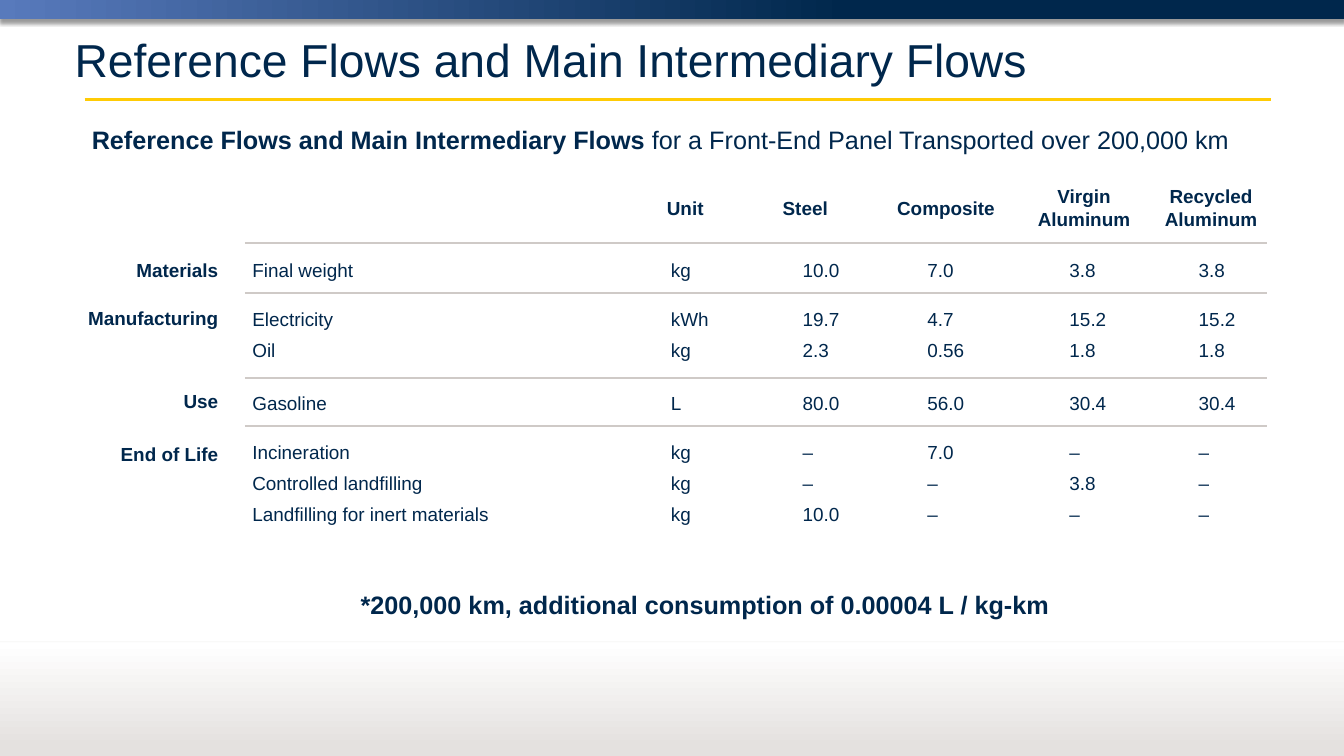
"""Builds the slide on reference and intermediary flows of a front-end panel."""
from dataclasses import dataclass

from lxml import etree
from pptx import Presentation
from pptx.dml.color import RGBColor
from pptx.enum.dml import MSO_FILL
from pptx.enum.shapes import MSO_CONNECTOR, MSO_SHAPE
from pptx.enum.text import MSO_ANCHOR, MSO_AUTO_SIZE, PP_ALIGN
from pptx.oxml.ns import qn
from pptx.util import Pt

LEFT, CENTER, RIGHT = PP_ALIGN.LEFT, PP_ALIGN.CENTER, PP_ALIGN.RIGHT
MIDDLE, TOP = MSO_ANCHOR.MIDDLE, MSO_ANCHOR.TOP
GROW, FIXED = MSO_AUTO_SIZE.SHAPE_TO_FIT_TEXT, MSO_AUTO_SIZE.NONE
STRAIGHT, RECTANGLE = MSO_CONNECTOR.STRAIGHT, MSO_SHAPE.RECTANGLE
SOLID = MSO_FILL.SOLID

WIDTH, HEIGHT = 1280.16, 720
TABLE_LEFT, TABLE_RIGHT = 233.3, 1206.7
STAGE_RIGHT = 215
HEADER_MIDDLE = 198


@dataclass(frozen=True)
class Theme:
    """Colours, font and type sizes of the slide."""
    font: str = "Arial"
    navy: str = "00274C"
    blue: str = "587ABC"
    yellow: str = "FFCB05"
    rule: str = "CFCAC7"
    stone: str = "E4E1DF"
    white: str = "FFFFFF"
    shadow: str = "000000"
    title: int = 44
    statement: int = 24
    body: int = 18


def add_text(paragraph, text, *, theme, size, bold=False):
    """Adds text to a paragraph, breaking lines at newlines."""
    for index, line in enumerate(text.split("\n")):
        if index:
            paragraph.add_line_break()
        run = paragraph.add_run()
        run.text = line
        run.font.name = theme.font
        run.font.size = Pt(size)
        run.font.bold = bold
        run.font.color.rgb = RGBColor.from_string(theme.navy)


class SlideBuilder:
    """Holds the theme and the current slide."""

    def __init__(self, slide, theme):
        """Keeps the slide and its theme."""
        self.slide = slide
        self.theme = theme

    def effects(self, shape, shadow=None):
        """Replaces the inherited shadow by (opacity, blur, distance) or none."""
        effects = etree.SubElement(shape._element.spPr, qn("a:effectLst"))
        if shadow:
            opacity, blur, distance = shadow
            outer = etree.SubElement(
                effects, qn("a:outerShdw"), blurRad=str(Pt(blur)),
                dist=str(Pt(distance)), dir="5400000", rotWithShape="0")
            color = etree.SubElement(outer, qn("a:srgbClr"), val=self.theme.shadow)
            etree.SubElement(color, qn("a:alpha"), val=str(opacity * 1000))

    def band(self, top, height, stops, angle, shadow=None):
        """Draws a full-width gradient band."""
        band = self.slide.shapes.add_shape(
            RECTANGLE, 0, Pt(top), Pt(WIDTH), Pt(height))
        band.fill.gradient()
        band.fill.gradient_angle = angle
        for stop, (position, color) in zip(band.fill.gradient_stops, stops):
            stop.position = position
            stop.color.rgb = RGBColor.from_string(color)
        band.line.fill.background()
        self.effects(band, shadow)

    def rule(self, left, right, y, color, width, opacity=100, shadow=None):
        """Draws a horizontal rule."""
        rule = self.slide.shapes.add_connector(
            STRAIGHT, Pt(left), Pt(y), Pt(right), Pt(y))
        rule.line.width = Pt(width)
        rule.line.color.rgb = RGBColor.from_string(color)
        if opacity < 100 and rule.line.fill.type == SOLID:
            paint = next(rule._element.spPr.iter(qn("a:srgbClr")))
            etree.SubElement(paint, qn("a:alpha"), val=str(opacity * 1000))
        self.effects(rule, shadow)

    def text(self, left, top, width, height, paragraphs, size, bold=False,
             align=LEFT, anchor=TOP, wrap=True, fit=GROW, after=0):
        """Places paragraphs, each a string or a list of (text, bold) parts."""
        box = self.slide.shapes.add_textbox(Pt(left), Pt(top), Pt(width), Pt(height))
        frame = box.text_frame
        frame.word_wrap = wrap
        frame.auto_size = fit
        frame.vertical_anchor = anchor
        for index, content in enumerate(paragraphs):
            paragraph = frame.add_paragraph() if index else frame.paragraphs[0]
            paragraph.alignment = align
            paragraph.space_after = Pt(after)
            parts = [(content, bold)] if isinstance(content, str) else content
            for words, weight in parts:
                add_text(paragraph, words, theme=self.theme, size=size, bold=weight)

    def header(self, center, width, label):
        """Places a column heading around the header's middle line."""
        height = 29 + 22 * label.count("\n")
        self.text(center - width / 2, HEADER_MIDDLE - height / 2, width, height,
                  [label], self.theme.body, bold=True, align=CENTER, wrap=False)

    def stage(self, top, width, label):
        """Places a life-cycle stage label, flush right."""
        self.text(STAGE_RIGHT - width, top, width, 29, [label], self.theme.body,
                  bold=True, align=RIGHT, wrap=False)

    def cell(self, left, top, width, entries):
        """Places the entries of one column within one stage."""
        self.text(left, top, width, 29 + 30 * (len(entries) - 1), entries,
                  self.theme.body, after=8)


HEADERS = [(652.7, 50, "Unit"), (767, 58, "Steel"), (901, 109, "Composite"),
           (1032.5, 104, "Virgin\nAluminum"), (1153.5, 104, "Recycled\nAluminum")]

COLUMNS = [(TABLE_LEFT, 349), (632, 70.5), (757.5, 70.5), (876.2, 70.5),
           (1011.6, 70.5), (1134.7, 70.5)]

STAGES = [
    ("Materials", 94, 242.6, 242.6,
     [("Final weight", "kg", "10.0", "7.0", "3.8", "3.8")]),
    ("Manufacturing", 140, 288.7, 289.5,
     [("Electricity", "kWh", "19.7", "4.7", "15.2", "15.2"),
      ("Oil", "kg", "2.3", "0.56", "1.8", "1.8")]),
    ("Use", 48, 367.2, 369.2,
     [("Gasoline", "L", "80.0", "56.0", "30.4", "30.4")]),
    ("End of Life", 109, 417.6, 416.4,
     [("Incineration", "kg", "–", "7.0", "–", "–"),
      ("Controlled landfilling", "kg", "–", "–", "3.8", "–"),
      ("Landfilling for inert materials", "kg", "10.0", "–", "–", "–")]),
]

RULES = [231.1, 279.4, 360, 406.1]


def main():
    """Builds and saves the slide."""
    deck = Presentation()
    deck.slide_width, deck.slide_height = Pt(WIDTH), Pt(HEIGHT)
    theme = Theme()
    builder = SlideBuilder(deck.slides.add_slide(deck.slide_layouts[6]), theme)

    builder.band(0, 18, [(0, theme.blue), (0.63, theme.navy)], 0, shadow=(40, 4, 3))
    builder.rule(80.6, 1210.3, 95, theme.yellow, 3)
    builder.band(612, 108, [(0.08, theme.stone), (1, theme.white)], 90)
    builder.rule(0, WIDTH, 611.3, theme.stone, 0.75, opacity=30, shadow=(38, 3.1, 1.6))

    builder.text(64, 22.3, 1152, 68.4, ["Reference Flows and Main Intermediary Flows"],
                 theme.title, anchor=MIDDLE, fit=FIXED)
    subtitle = [("Reference Flows and Main Intermediary Flows ", True),
                ("for a Front-End Panel Transported over 200,000 km\t", False)]
    builder.text(64, 115.2, 1162.8, 36, [subtitle], theme.statement, align=CENTER)
    builder.text(333.4, 557.3, 676, 36,
                 ["*200,000 km, additional consumption of 0.00004 L / kg-km"],
                 theme.statement, bold=True, align=CENTER, wrap=False)

    for center, width, label in HEADERS:
        builder.header(center, width, label)
    for y in RULES:
        builder.rule(TABLE_LEFT, TABLE_RIGHT, y, theme.rule, 2)
    for stage, stage_width, stage_top, top, flows in STAGES:
        builder.stage(stage_top, stage_width, stage)
        for (left, width), entries in zip(COLUMNS, zip(*flows)):
            builder.cell(left, top, width, entries)

    deck.save("out.pptx")


if __name__ == "__main__":
    main()
